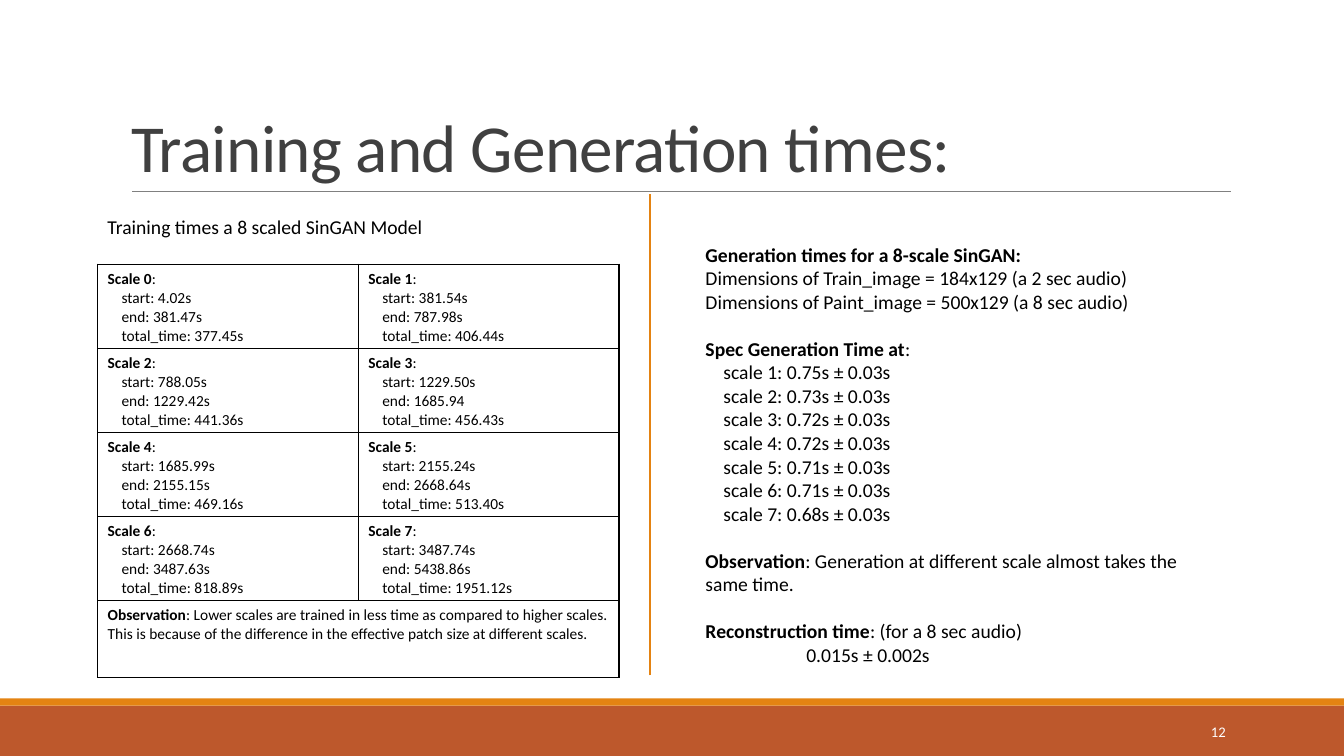
from dataclasses import dataclass

from lxml import etree
from pptx import Presentation
from pptx.dml.color import RGBColor
from pptx.enum import shapes, text
from pptx.oxml import ns
from pptx.util import Cm, Pt

TITLE = "Training and Generation times:"
TABLE_CAPTION = "Training times a 8 scaled SinGAN Model"
PAGE_NUMBER = "12"

TRAINING = [
    ("4.02s", "381.47s", "377.45s"),
    ("381.54s", "787.98s", "406.44s"),
    ("788.05s", "1229.42s", "441.36s"),
    ("1229.50s", "1685.94", "456.43s"),
    ("1685.99s", "2155.15s", "469.16s"),
    ("2155.24s", "2668.64s", "513.40s"),
    ("2668.74s", "3487.63s", "818.89s"),
    ("3487.74s", "5438.86s", "1951.12s"),
]
TRAINING_NOTE = (
    "Observation",
    ": Lower scales are trained in less time as compared to higher scales. "
    "This is because of the difference in the effective patch size at different scales.",
)

GENERATION_SECONDS = ["0.75", "0.73", "0.72", "0.72", "0.71", "0.71", "0.68"]
GENERATION = [
    [("Generation times for a 8-scale SinGAN:", ""),
     ("", "Dimensions of Train_image = 184x129 (a 2 sec audio)"),
     ("", "Dimensions of Paint_image = 500x129 (a 8 sec audio)")],
    [("Spec Generation Time at", ":")]
    + [("", f"scale {i}: {sec}s ± 0.03s", 0.45)
       for i, sec in enumerate(GENERATION_SECONDS, 1)],
    [("Observation", ": Generation at different scale almost takes the same time.")],
    [("Reconstruction time", ": (for a 8 sec audio)"),
     ("", "0.015s ± 0.002s", 2.54)],
]


@dataclass(frozen=True)
class Theme:
    font: str = "Calibri"
    ink: str = "000000"
    heading: str = "404040"
    rule: str = "808080"
    accent: str = "E48312"
    band: str = "BD582C"
    light: str = "FFFFFF"
    title_pt: float = 48
    body_pt: float = 14
    table_pt: float = 11
    number_pt: float = 10.5
    group_gap_pt: float = 16.8


T = Theme()


def style(p, size, color=T.ink):
    for r in p.runs:
        r.font.name = T.font
        r.font.size = Pt(size)
        r.font.color.rgb = RGBColor.from_string(color)


def write_line(p, size, bold, plain, indent=0):
    for words, is_bold in ((bold, True), (plain, False)):
        if words:
            r = p.add_run()
            r.text = words
            r.font.bold = is_bold
    if indent:
        p._p.get_or_add_pPr().set("marL", str(Cm(indent)))
    style(p, size)


def write_groups(tf, groups, size):
    tf.word_wrap = True
    first = True
    for group in groups:
        for i, line in enumerate(group):
            p = tf.paragraphs[0] if first else tf.add_paragraph()
            if i == 0 and not first:
                p.space_before = Pt(T.group_gap_pt)
            write_line(p, size, *line)
            first = False


def add_text(s, left, top, width, height):
    return s.shapes.add_textbox(Cm(left), Cm(top), Cm(width), Cm(height)).text_frame


def add_bar(s, top, height, color):
    sp = s.shapes.add_shape(shapes.MSO_SHAPE.RECTANGLE, 0, Cm(top), prs.slide_width, Cm(height))
    sp.shadow.inherit = False
    sp.fill.solid()
    sp.fill.fore_color.rgb = RGBColor.from_string(color)
    sp.line.fill.background()


def add_line(s, x1, y1, x2, y2, color, width):
    line = s.shapes.add_connector(
        shapes.MSO_CONNECTOR.STRAIGHT, Cm(x1), Cm(y1), Cm(x2), Cm(y2))
    line.line.color.rgb = RGBColor.from_string(color)
    line.line.width = Pt(width)
    etree.SubElement(line._element.spPr, ns.qn("a:effectLst"))


def frame_cell(cell):
    tc_pr = cell._tc.get_or_add_tcPr()
    for side in ("lnL", "lnR", "lnT", "lnB"):
        ln = etree.SubElement(tc_pr, ns.qn(f"a:{side}"), w=str(Pt(1)))
        fill = etree.SubElement(ln, ns.qn("a:solidFill"))
        etree.SubElement(fill, ns.qn("a:srgbClr"), val=T.ink)
    cell.fill.background()


def add_training_table(s):
    columns, scale_height, note_height = 2, 2.12, 1.94
    scale_rows = len(TRAINING) // columns
    table = s.shapes.add_table(
        scale_rows + 1, columns, Cm(2.46), Cm(6.66), Cm(13.14),
        Cm(scale_rows * scale_height + note_height)).table
    table.first_row = False
    table.horz_banding = False
    for i, row in enumerate(table.rows):
        row.height = Cm(scale_height if i < scale_rows else note_height)
    for cell in table.iter_cells():
        frame_cell(cell)
    for scale, (start, end, total) in enumerate(TRAINING):
        lines = [(f"Scale {scale}", ":")] + [
            ("", words, 0.35)
            for words in (f"start: {start}", f"end: {end}", f"total_time: {total}")]
        cell = table.cell(*divmod(scale, columns))
        write_groups(cell.text_frame, [lines], T.table_pt)
    note = table.cell(scale_rows, 0)
    note.merge(table.cell(scale_rows, columns - 1))
    write_groups(note.text_frame, [[TRAINING_NOTE]], T.table_pt)


prs = Presentation()
prs.slide_width, prs.slide_height = Cm(33.87), Cm(19.05)
s = prs.slides.add_slide(prs.slide_layouts[5])

add_bar(s, 17.78, 1.27, T.band)
add_bar(s, 17.6, 0.18, T.accent)
add_line(s, 3.33, 4.82, 31.01, 4.82, T.rule, 0.5)

title = s.shapes.title
title.left, title.top, title.width, title.height = Cm(3.05), Cm(0.79), Cm(27.94), Cm(4.04)
tf = title.text_frame
tf.text = TITLE
tf.auto_size = text.MSO_AUTO_SIZE.NONE
tf.vertical_anchor = text.MSO_ANCHOR.BOTTOM
p = tf.paragraphs[0]
p.alignment = text.PP_ALIGN.LEFT
p.line_spacing = 0.85
style(p, T.title_pt, T.heading)
p.runs[0].font._element.set("spc", "-50")

tf = add_text(s, 27.51, 17.93, 3.63, 1.02)
tf.text = PAGE_NUMBER
tf.word_wrap = True
tf.vertical_anchor = text.MSO_ANCHOR.MIDDLE
tf.paragraphs[0].alignment = text.PP_ALIGN.RIGHT
style(tf.paragraphs[0], T.number_pt, T.light)

add_line(s, 16.38, 17.02, 16.38, 4.9, T.accent, 1)
write_groups(add_text(s, 17.53, 5.99, 12.95, 11.02), GENERATION, T.body_pt)
write_groups(add_text(s, 2.46, 5.28, 12.95, 1.2), [[("", TABLE_CAPTION)]], T.body_pt)
add_training_table(s)

prs.save("out.pptx")
